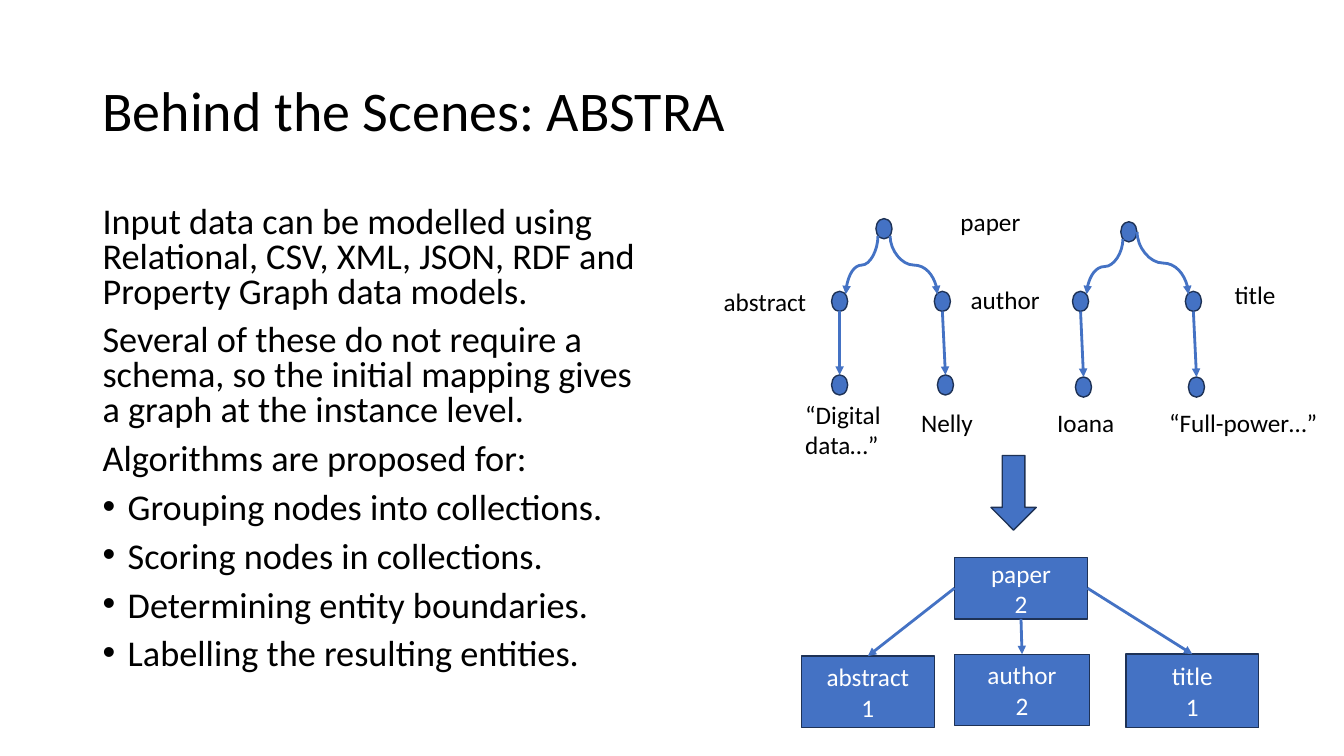
from lxml import etree
from pptx import Presentation
from pptx import util as u
from pptx.dml import color
from pptx.enum import shapes, text
from pptx.oxml import ns

Pt = u.Pt
BLUE = color.RGBColor(0x44, 0x72, 0xC4)
NAVY = color.RGBColor(0x1E, 0x32, 0x56)
BLACK = color.RGBColor(0, 0, 0)
WHITE = color.RGBColor(255, 255, 255)

DOT_W, DOT_H = 11.5, 14.4
INDENT = 18

TREES = [
    {"root": (625.7, 156.2), "mids": (594, 667.4),
     "leaves": (594, 669.6), "low": 267.8,
     "curves": [(627.1, 168.5, 604.1, 210.2), (635.8, 168.5, 669.6, 210.2)]},
    {"root": (800.6, 158.4), "mids": (766.1, 846.7),
     "leaves": (768.2, 848.9), "low": 269.3,
     "curves": [(802.1, 170.6, 776.2, 210.2), (812.2, 165.6, 848.9, 210.2)]},
]
MID_Y = 208.1

LABELS = [
    ("paper", 679, 144, 57.6), ("abstract", 509.8, 200.9, 74.2),
    ("author", 686.2, 199.4, 64.1), ("title", 874.8, 195.8, 43.9),
    ("Nelly", 650.9, 287.3, 51.8), ("Ioana", 748.1, 287.3, 55.4),
    ("“Full-power…”", 828, 287.3, 121.7),
]

INTRO = [
    "Input data can be modelled using Relational, CSV, XML, JSON, RDF and "
    "Property Graph data models.",
    "Several of these do not require a schema, so the initial mapping gives "
    "a graph at the instance level.",
    "Algorithms are proposed for:",
]
STEPS = [
    "Grouping nodes into collections.",
    "Scoring nodes in collections.",
    "Determining entity boundaries.",
    "Labelling the resulting entities.",
]


class Deck:
    def __init__(self):
        self.prs = Presentation()
        self.prs.slide_width, self.prs.slide_height = Pt(960), Pt(540)
        self.slide = self.prs.slides.add_slide(self.prs.slide_layouts[6])
        self.items = self.slide.shapes
        self.face = "Calibri"

    def put(self, thing, style):
        for key, val in style.items():
            setattr(thing, key, val)

    def words(self, frame, lines, size, ink, **style):
        for i, line in enumerate(lines):
            para = frame.paragraphs[0] if i == 0 else frame.add_paragraph()
            fit = dict(style)
            if i == 0:
                fit.pop("space_before", None)
            self.put(para, fit)
            run = para.add_run()
            run.text = line
            self.put(run.font, {"name": self.face, "size": Pt(size)})
            run.font.color.rgb = ink

    def label(self, lines, x, y, w, h, size=18, frame=None, **style):
        box = self.items.add_textbox(Pt(x), Pt(y), Pt(w), Pt(h))
        self.put(box.text_frame, {"word_wrap": True, **(frame or {})})
        self.words(box.text_frame, lines, size, BLACK, **style)
        return box

    def bullet(self, para):
        props = para._p.get_or_add_pPr()
        props.set("marL", str(Pt(INDENT)))
        props.set("indent", str(-Pt(INDENT)))
        font = etree.SubElement(props, ns.qn("a:buFont"))
        font.set("typeface", "Arial")
        mark = etree.SubElement(props, ns.qn("a:buChar"))
        mark.set("char", "•")

    def shape(self, kind, x, y, w, h, lines=()):
        item = self.items.add_shape(kind, Pt(x), Pt(y), Pt(w), Pt(h))
        item.shadow.inherit = False
        item.fill.solid()
        item.fill.fore_color.rgb = BLUE
        item.line.color.rgb = NAVY
        item.line.width = Pt(1)
        if lines:
            item.text_frame.vertical_anchor = text.MSO_ANCHOR.MIDDLE
            self.words(item.text_frame, lines, 18, WHITE,
                       alignment=text.PP_ALIGN.CENTER)
        return item

    def dot(self, x, y):
        return self.shape(shapes.MSO_SHAPE.OVAL, x, y, DOT_W, DOT_H)

    def arrow(self, x1, y1, x2, y2, kind=shapes.MSO_CONNECTOR.STRAIGHT):
        link = self.items.add_connector(kind, Pt(x1), Pt(y1), Pt(x2), Pt(y2))
        link.line.color.rgb = BLUE
        link.line.width = Pt(2)
        props = link._element.spPr
        tail = etree.SubElement(props.find(ns.qn("a:ln")), ns.qn("a:tailEnd"))
        tail.set("type", "triangle")
        etree.SubElement(props, ns.qn("a:effectLst"))
        return link

    def curve(self, x1, y1, x2, y2):
        mid_x, mid_y = (x1 + x2) / 2, (y1 + y2) / 2
        side = 1 if x2 > x1 else -1
        dx, dy = side * (y2 - y1) / 2, abs(x2 - x1) / 2
        link = self.arrow(mid_x + dx, mid_y - dy, mid_x - dx, mid_y + dy,
                          shapes.MSO_CONNECTOR.CURVE)
        turn = 270 if side > 0 else 90
        link._element.spPr.find(ns.qn("a:xfrm")).set("rot", str(turn * 60000))

    def join(self, start, site, end):
        link = self.arrow(0, 0, 10, 10)
        link.begin_connect(start, site)
        link.end_connect(end, 0)

    def tree(self, root, mids, leaves, low, curves):
        self.dot(*root)
        for mid, leaf in zip(mids, leaves):
            self.dot(mid, MID_Y)
            self.dot(leaf, low)
            self.arrow(mid + DOT_W / 2, MID_Y + DOT_H, leaf + DOT_W / 2, low)
        for ends in curves:
            self.curve(*ends)


def main():
    deck = Deck()
    deck.label(["Behind the Scenes: ABSTRA"], 66.2, 28.8, 828, 104.4, 40,
               {"vertical_anchor": text.MSO_ANCHOR.MIDDLE}, line_spacing=0.9)
    body = deck.label(INTRO + STEPS, 66.2, 144, 408.2, 342.7, 25.9,
                      line_spacing=0.8, space_before=Pt(10))
    for para in body.text_frame.paragraphs[len(INTRO):]:
        deck.bullet(para)

    for tree in TREES:
        deck.tree(**tree)
    fit = {"word_wrap": False, "auto_size": text.MSO_AUTO_SIZE.SHAPE_TO_FIT_TEXT}
    for name, x, y, w in LABELS:
        deck.label([name], x, y, w, 28.8, frame=fit)
    deck.label(["“Digital data…”"], 568.1, 281.5, 87.8, 51.1)

    deck.shape(shapes.MSO_SHAPE.DOWN_ARROW, 707.8, 325.4, 32.4, 53.3)
    rect = shapes.MSO_SHAPE.RECTANGLE
    paper = deck.shape(rect, 681.8, 398.2, 95, 43.9, ["paper", "2"])
    kids = [
        (1, deck.shape(rect, 572.4, 468.7, 95, 51.1, ["abstract", "1"])),
        (2, deck.shape(rect, 681.8, 467.3, 96.5, 51.1, ["author", "2"])),
        (3, deck.shape(rect, 804.2, 467.3, 95, 52.6, ["title", "1"])),
    ]
    for site, kid in kids:
        deck.join(paper, site, kid)
    deck.prs.save("out.pptx")


if __name__ == "__main__":
    main()
